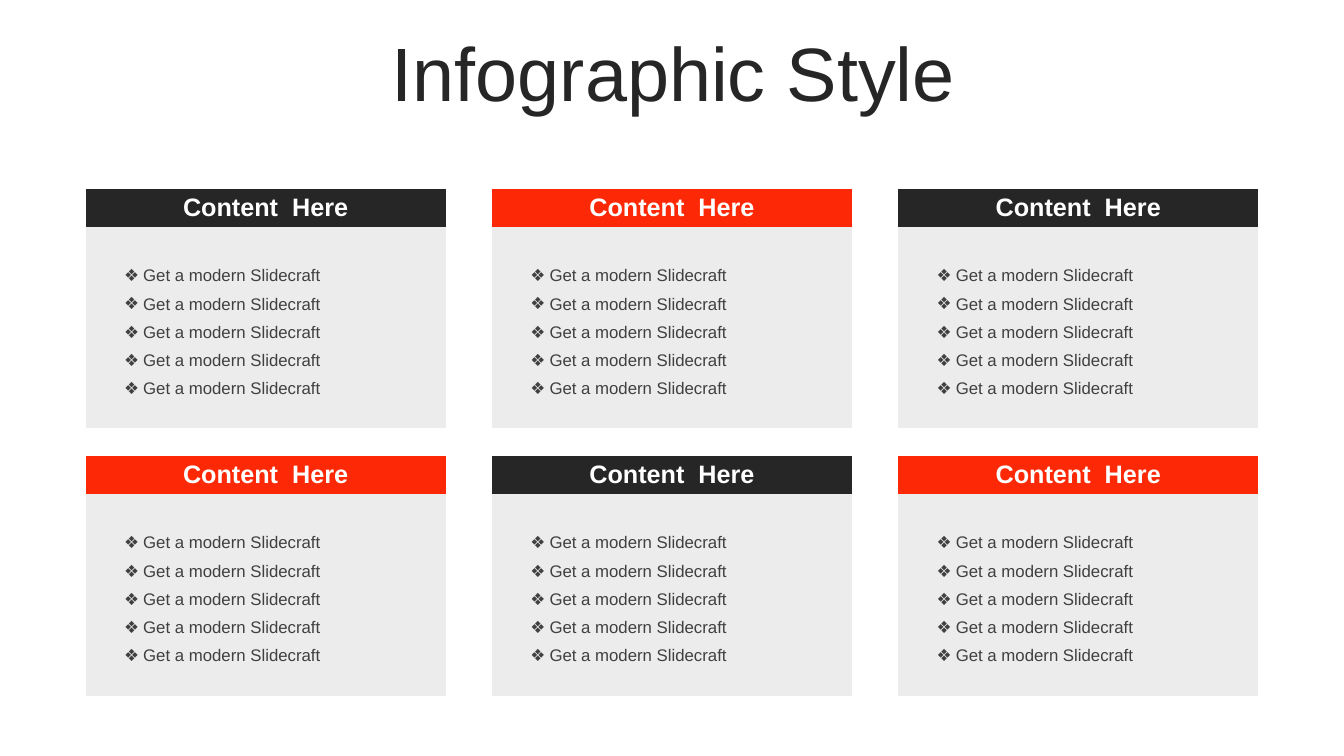
from lxml.etree import SubElement
from pptx import Presentation
from pptx.dml.color import RGBColor
from pptx.enum.text import MSO_ANCHOR as Anchor, PP_ALIGN as Align
from pptx.oxml.ns import qn
from pptx.util import Inches, Pt

DARK, RED, PANEL, BODY, WHITE = "262626", "FD2906", "ECECEC", "404040", "FFFFFF"
NO_STYLE = "{2D5ABB26-0587-4C30-8999-92F81FD0307C}"
LEFT, TOP = 0.85, 1.87
COL_STEP, ROW_STEP = 4.03, 2.65
COL_WIDTHS = [0.28, 3.01, 0.28]
ROW_HEIGHTS = [0.38] + [0.5] * 4


def color(value):
    return RGBColor.from_string(value)


class Deck:
    font = "Arial"

    def __init__(self):
        self.prs = Presentation()
        self.prs.slide_width = Inches(13.33)
        self.prs.slide_height = Inches(7.5)
        self.s = self.prs.slides.add_slide(self.prs.slide_layouts[5])

    def run(self, p, text, size, fill, bold=False):
        r = p.add_run()
        r.text = text
        r.font.name = self.font
        r.font.size = Pt(size)
        r.font.bold = bold
        r.font.color.rgb = color(fill)

    def title(self, text):
        sp = self.s.shapes.title
        sp.left, sp.top = Inches(0.35), Inches(0.37)
        sp.width, sp.height = Inches(12.66), Inches(0.79)
        tf = sp.text_frame
        tf.vertical_anchor = Anchor.MIDDLE
        p = tf.paragraphs[0]
        p.alignment = Align.CENTER
        p.line_spacing = 0.9
        self.run(p, text, 54, DARK)

    def bullet(self, p, text):
        pPr = p._p.get_or_add_pPr()
        pPr.set("marL", str(Inches(0.19)))
        pPr.set("indent", str(-Inches(0.19)))
        SubElement(pPr, qn("a:buFont")).set("typeface", self.font)
        SubElement(pPr, qn("a:buChar")).set("char", "❖")
        p.line_spacing = 1.5
        self.run(p, text, 12, BODY)

    def card(self, col, row, heading, items, fill):
        table = self.s.shapes.add_table(
            len(ROW_HEIGHTS), len(COL_WIDTHS),
            Inches(LEFT + col * COL_STEP), Inches(TOP + row * ROW_STEP),
            Inches(sum(COL_WIDTHS)), Inches(sum(ROW_HEIGHTS))).table
        table.horz_banding = False
        table.first_row = False
        table._tbl.tblPr.find(qn("a:tableStyleId")).text = NO_STYLE
        header, body = table.cell(0, 0), table.cell(1, 1)
        header.merge(table.cell(0, 2))
        body.merge(table.cell(4, 1))
        for column, width in zip(table.columns, COL_WIDTHS):
            column.width = Inches(width)
        for i, height in enumerate(ROW_HEIGHTS):
            table.rows[i].height = Inches(height)
            for cell in table.rows[i].cells:
                if not cell.is_spanned:
                    cell.fill.solid()
                    cell.fill.fore_color.rgb = color(PANEL if i else fill)
                    cell.vertical_anchor = Anchor.MIDDLE
        p = header.text_frame.paragraphs[0]
        p.alignment = Align.CENTER
        self.run(p, heading, 18, WHITE, True)
        tf = body.text_frame
        for i, item in enumerate(items):
            self.bullet(tf.add_paragraph() if i else tf.paragraphs[0], item)


def main():
    deck = Deck()
    deck.title("Infographic Style")
    for row in range(2):
        for col in range(3):
            fill = RED if (row + col) % 2 else DARK
            deck.card(col, row, "Content  Here",
                      ["Get a modern Slidecraft"] * 5, fill)
    deck.prs.save("out.pptx")


if __name__ == "__main__":
    main()
